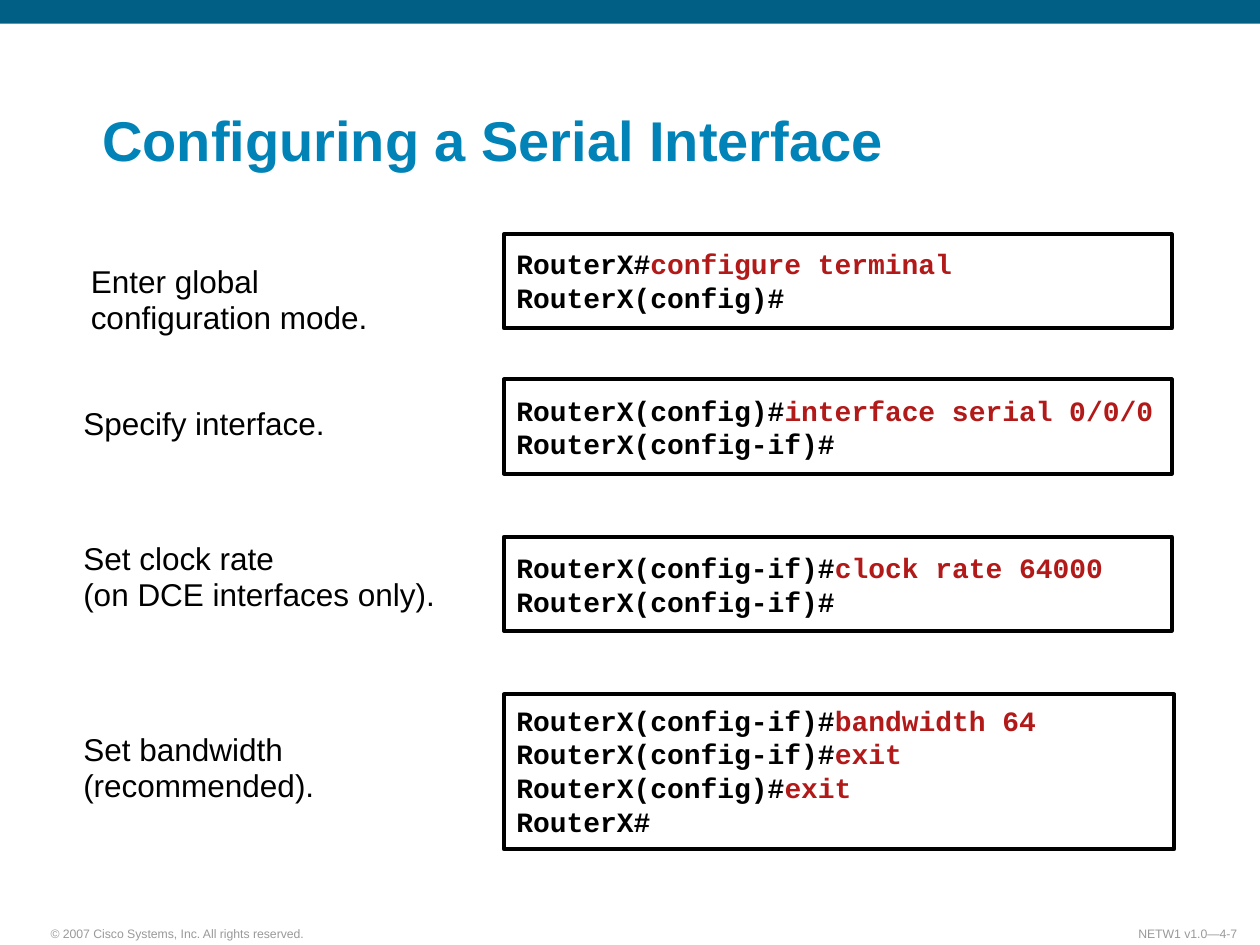
from pptx import Presentation
from pptx.dml.color import RGBColor
from pptx.enum.shapes import MSO_SHAPE as SHAPE
from pptx.enum.text import MSO_ANCHOR as ANCHOR, MSO_AUTO_SIZE as AUTO, PP_ALIGN as ALIGN
from pptx.util import Cm, Pt
from lxml import etree


def rgb(h):
    return RGBColor.from_string(h)


def style(sp, text, size, color, anchor=ANCHOR.TOP, align=ALIGN.LEFT, inset=(0, 0), spacing=1.0, bold=False):
    tf = sp.text_frame
    tf.text = text
    tf.word_wrap = True
    tf.auto_size = AUTO.NONE
    tf.vertical_anchor = anchor
    tf.margin_left = tf.margin_right = Cm(inset[0])
    tf.margin_top = tf.margin_bottom = Cm(inset[1])
    p = tf.paragraphs[0]
    p.alignment = align
    p.line_spacing = spacing
    p.space_before = Pt(0)
    for r in p.runs:
        r.font.name = "Arial"
        r.font.size = Pt(size)
        r.font.bold = bold
        r.font.color.rgb = rgb(color)


prs = Presentation()
prs.slide_width, prs.slide_height = Cm(25.4), Cm(19.05)
s = prs.slides.add_slide(prs.slide_layouts[1])
title, body = s.placeholders

bar = s.shapes.add_shape(SHAPE.RECTANGLE, 0, 0, prs.slide_width, Cm(0.48))
bar.shadow.inherit = False
bar.fill.solid()
bar.fill.fore_color.rgb = rgb("015F85")
bar.line.fill.background()

title.left, title.top, title.width, title.height = Cm(1.83), Cm(1.27), Cm(22.63), Cm(2.34)
style(title, "Configuring a Serial Interface", 32, "0183B7", ANCHOR.BOTTOM, inset=(0.23, 0.1), spacing=0.9, bold=True)

footers = [
    (0.79, 5.9, "© 2007 Cisco Systems, Inc. All rights reserved.", ALIGN.LEFT),
    (21.87, 3.3, "NETW1 v1.0—4-7", ALIGN.RIGHT),
]
for x, w, text, align in footers:
    sp = s.shapes.add_textbox(Cm(x), Cm(18.54), Cm(w), Cm(0.53))
    style(sp, text, 7, "999999", ANCHOR.BOTTOM, align, (0.23, 0.1))

body.left, body.top, body.width, body.height = Cm(1.83), Cm(5.33), Cm(9.75), Cm(2.16)
style(body, "Enter global\vconfiguration mode.", 18, "000000", spacing=0.95)
pPr = body.text_frame.paragraphs[0]._p.get_or_add_pPr()
pPr.set("marL", "0")
pPr.set("indent", "0")
etree.SubElement(pPr, "{http://schemas.openxmlformats.org/drawingml/2006/main}buNone")

labels = [
    (8.2, 1.32, "Specify interface."),
    (10.92, 1.65, "Set clock rate\v(on DCE interfaces only)."),
    (14.78, 2.13, "Set bandwidth\v(recommended)."),
]
for y, h, text in labels:
    sp = s.shapes.add_textbox(Cm(1.68), Cm(y), Cm(8.13), Cm(h))
    style(sp, text, 18, "000000", spacing=0.95)

steps = [
    (4.72, 13.46, 1.9, 0.18, [("RouterX#", "configure terminal"), ("RouterX(config)#", "")]),
    (7.65, 13.46, 1.9, 0.2, [("RouterX(config)#", "interface serial 0/0/0"), ("RouterX(config-if)#", "")]),
    (10.82, 13.46, 1.9, 0.2, [("RouterX(config-if)#", "clock rate 64000"), ("RouterX(config-if)#", "")]),
    (14, 13.51, 3.12, 0.1, [("RouterX(config-if)#", "bandwidth 64"), ("RouterX(config-if)#", "exit"),
                            ("RouterX(config)#", "exit"), ("RouterX#", "")]),
]
for y, w, h, gap, lines in steps:
    box = s.shapes.add_shape(SHAPE.RECTANGLE, Cm(10.16), Cm(y), Cm(w), Cm(h))
    box.shadow.inherit = False
    box.fill.solid()
    box.fill.fore_color.rgb = rgb("FFFFFF")
    box.line.color.rgb = rgb("000000")
    box.line.width = Pt(2.25)

    code = s.shapes.add_textbox(Cm(10.36), Cm(y + gap), Cm(13.3), Cm(0.62 * len(lines) + 0.16))
    tf = code.text_frame
    tf.word_wrap = True
    tf.margin_left = tf.margin_right = Cm(0.05)
    tf.margin_top = tf.margin_bottom = Cm(0.08)
    for i, (prompt, command) in enumerate(lines):
        p = tf.add_paragraph() if i else tf.paragraphs[0]
        for text, color in ((prompt, "000000"), (command, "B21A1A")):
            if text:
                r = p.add_run()
                r.text = text
                r.font.name = "Courier New"
                r.font.size = Pt(16)
                r.font.bold = True
                r.font.color.rgb = rgb(color)

prs.save("out.pptx")
